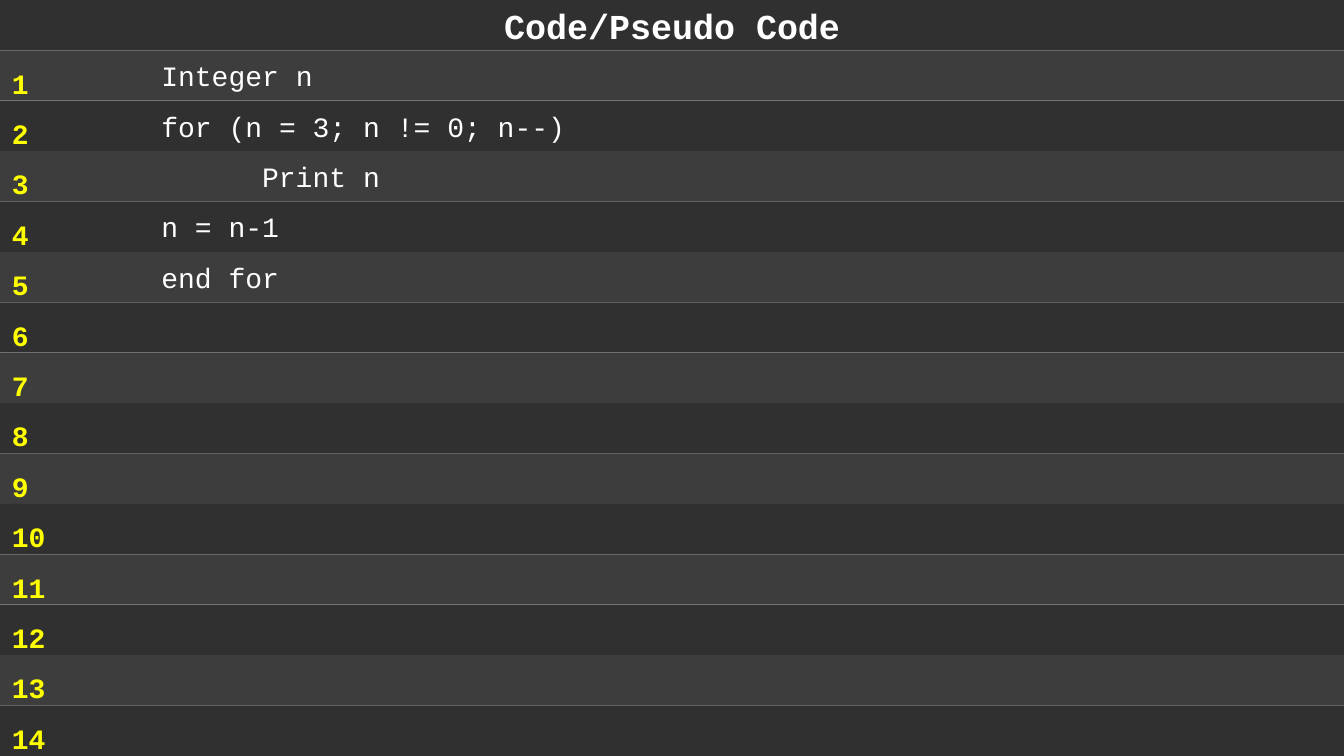
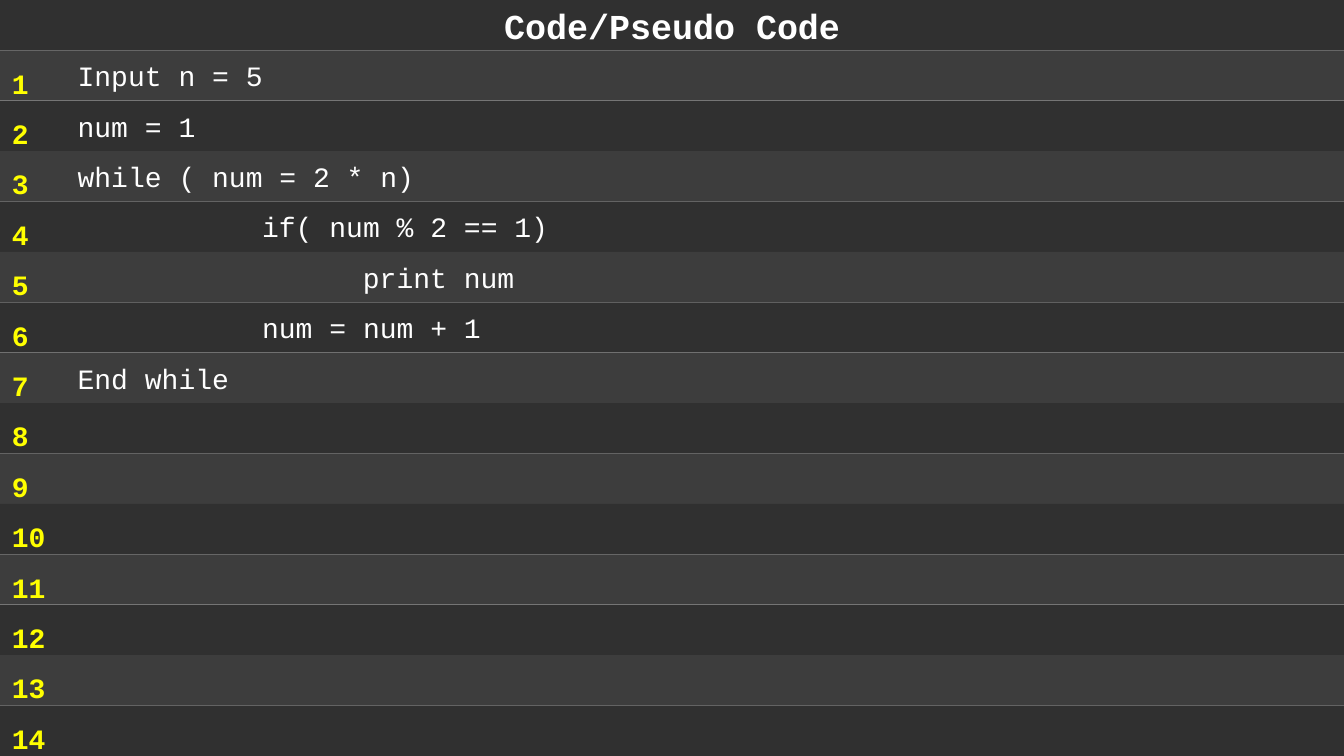
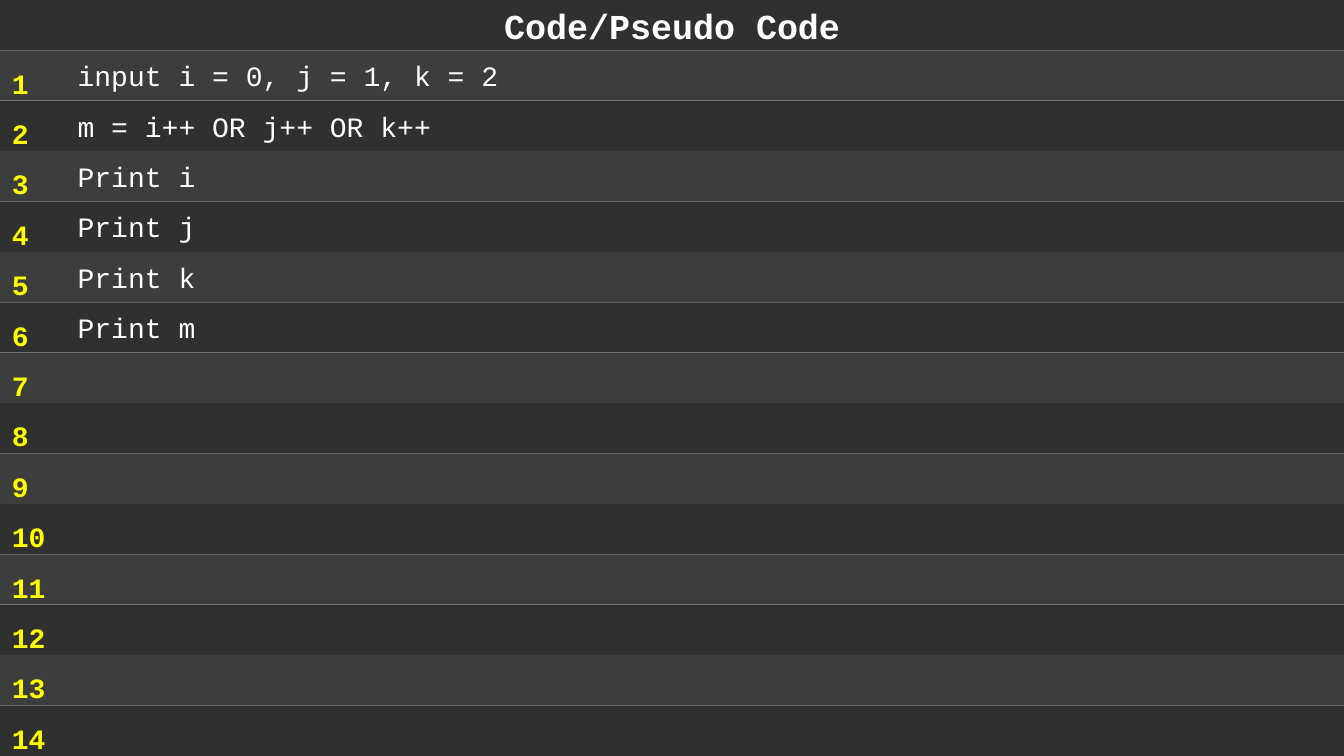
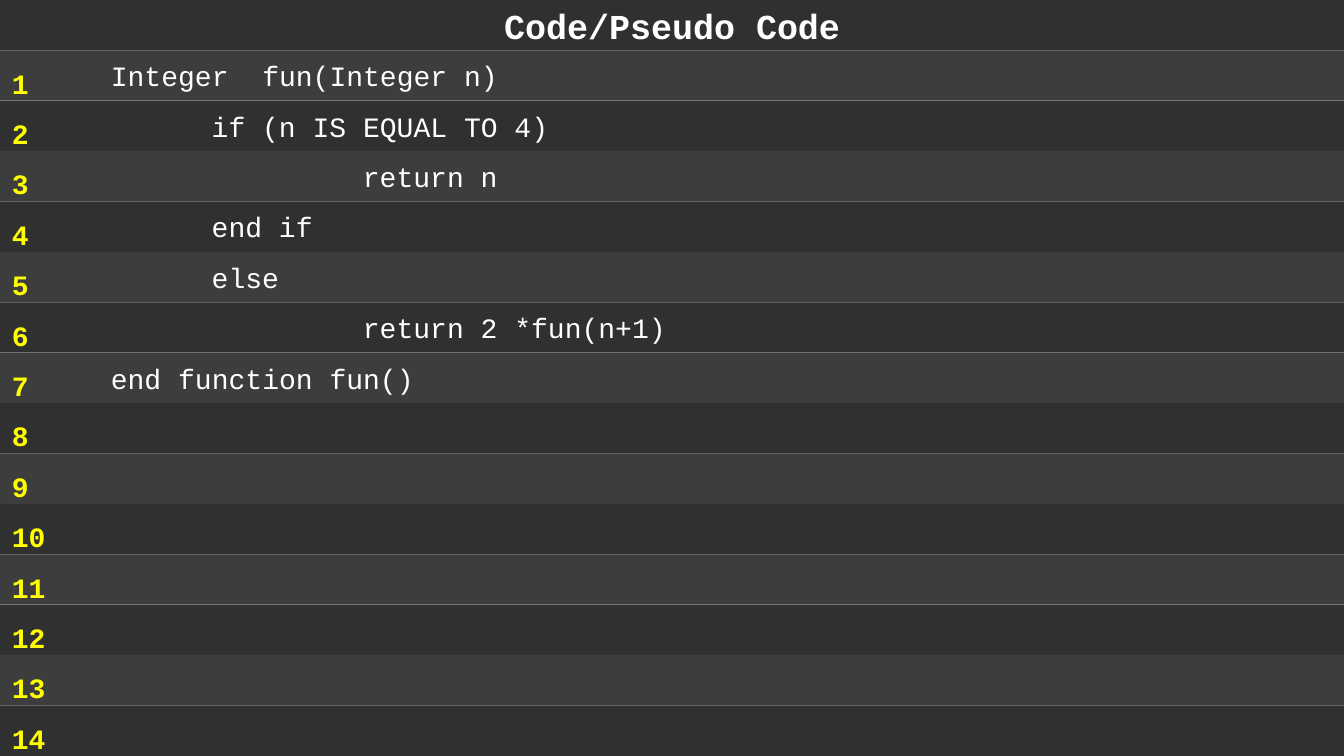
from pptx import Presentation
from pptx.dml.color import RGBColor
from pptx.enum.shapes import MSO_SHAPE
from pptx.enum.text import MSO_ANCHOR, MSO_AUTO_SIZE, PP_ALIGN
from pptx.util import Inches, Pt

RECTANGLE = MSO_SHAPE.RECTANGLE
MIDDLE = MSO_ANCHOR.MIDDLE
NO_FIT = MSO_AUTO_SIZE.NONE
GROW = MSO_AUTO_SIZE.SHAPE_TO_FIT_TEXT
LEFT, CENTER = PP_ALIGN.LEFT, PP_ALIGN.CENTER

DARK = RGBColor(0x30, 0x30, 0x30)
LIGHT = RGBColor(0x3D, 0x3D, 0x3D)
WHITE = RGBColor(0xFF, 0xFF, 0xFF)
YELLOW = RGBColor(0xFF, 0xFF, 0x00)

FONT = "Courier New"
TITLE_LAYOUT = 5
PAGE_WIDTH, PAGE_HEIGHT = 13.33, 7.5
BAND_HEIGHT = 0.5
LINE_COUNT = 14

# Each code line is its distance from the left edge in inches, then its text.
LISTINGS = [
    [
        (1.6, "Integer n"),
        (1.6, "for (n = 3; n != 0; n--)"),
        (2.6, "Print n"),
        (1.6, "n = n-1"),
        (1.6, "end for"),
    ],
    [
        (0.77, "Input n = 5"),
        (0.77, "num = 1"),
        (0.77, "while ( num = 2 * n)"),
        (2.6, "if( num % 2 == 1)"),
        (3.6, "print num"),
        (2.6, "num = num + 1"),
        (0.77, "End while"),
    ],
    [
        (0.77, "input i = 0, j = 1, k = 2"),
        (0.77, "m = i++ OR j++ OR k++"),
        (0.77, "Print i"),
        (0.77, "Print j"),
        (0.77, "Print k"),
        (0.77, "Print m"),
    ],
    [
        (1.1, "Integer  fun(Integer n)"),
        (2.1, "if (n IS EQUAL TO 4)"),
        (3.6, "return n"),
        (2.1, "end if"),
        (2.1, "else"),
        (3.6, "return 2 *fun(n+1)"),
        (1.1, "end function fun()"),
    ],
]


def write(para, text, size=20, color=WHITE, bold=False, align=LEFT, spacing=1.0):
    para.alignment = align
    para.line_spacing = spacing
    span = para.add_run()
    span.text = text
    span.font.name = FONT
    span.font.size = Pt(size)
    span.font.bold = bold
    span.font.color.rgb = color


def place_title(page, text, left, top, width, height):
    title = page.shapes.title
    title.left, title.top = Inches(left), Inches(top)
    title.width, title.height = Inches(width), Inches(height)
    title.fill.solid()
    title.fill.fore_color.rgb = DARK
    frame = title.text_frame
    frame.auto_size = NO_FIT
    frame.vertical_anchor = MIDDLE
    write(frame.paragraphs[0], text, size=25, bold=True, align=CENTER)


def add_band(page, color, left, top, width, height):
    band = page.shapes.add_shape(
        RECTANGLE, Inches(left), Inches(top), Inches(width), Inches(height))
    band.shadow.inherit = False
    band.fill.solid()
    band.fill.fore_color.rgb = color
    band.line.fill.background()
    return band


def add_listing(page, lines, left, top, width):
    """Draw every numbered band and put the code on the first ones."""
    for index in range(LINE_COUNT):
        color = DARK if index % 2 else LIGHT
        band = add_band(page, color, left, top + index * BAND_HEIGHT, width, BAND_HEIGHT)
        if index < len(lines):
            indent, code = lines[index]
            frame = band.text_frame
            frame.vertical_anchor = MIDDLE
            frame.margin_left = Inches(indent)
            write(frame.paragraphs[0], code)


def add_line_numbers(page, left, top, width, height):
    box = page.shapes.add_textbox(
        Inches(left), Inches(top), Inches(width), Inches(height))
    frame = box.text_frame
    frame.word_wrap = True
    frame.auto_size = GROW
    for number in range(1, LINE_COUNT + 1):
        para = frame.paragraphs[0] if number == 1 else frame.add_paragraph()
        write(para, str(number), color=YELLOW, bold=True, spacing=1.5)


def add_code_page(deck, lines):
    page = deck.slides.add_slide(deck.slide_layouts[TITLE_LAYOUT])
    place_title(page, "Code/Pseudo Code", 0, 0, PAGE_WIDTH, BAND_HEIGHT)
    add_listing(page, lines, 0, BAND_HEIGHT, PAGE_WIDTH)
    add_line_numbers(page, 0.02, 0.44, 0.56, 7.13)


def main():
    deck = Presentation()
    deck.slide_width, deck.slide_height = Inches(PAGE_WIDTH), Inches(PAGE_HEIGHT)
    for lines in LISTINGS:
        add_code_page(deck, lines)
    deck.save("out.pptx")


if __name__ == "__main__":
    main()
